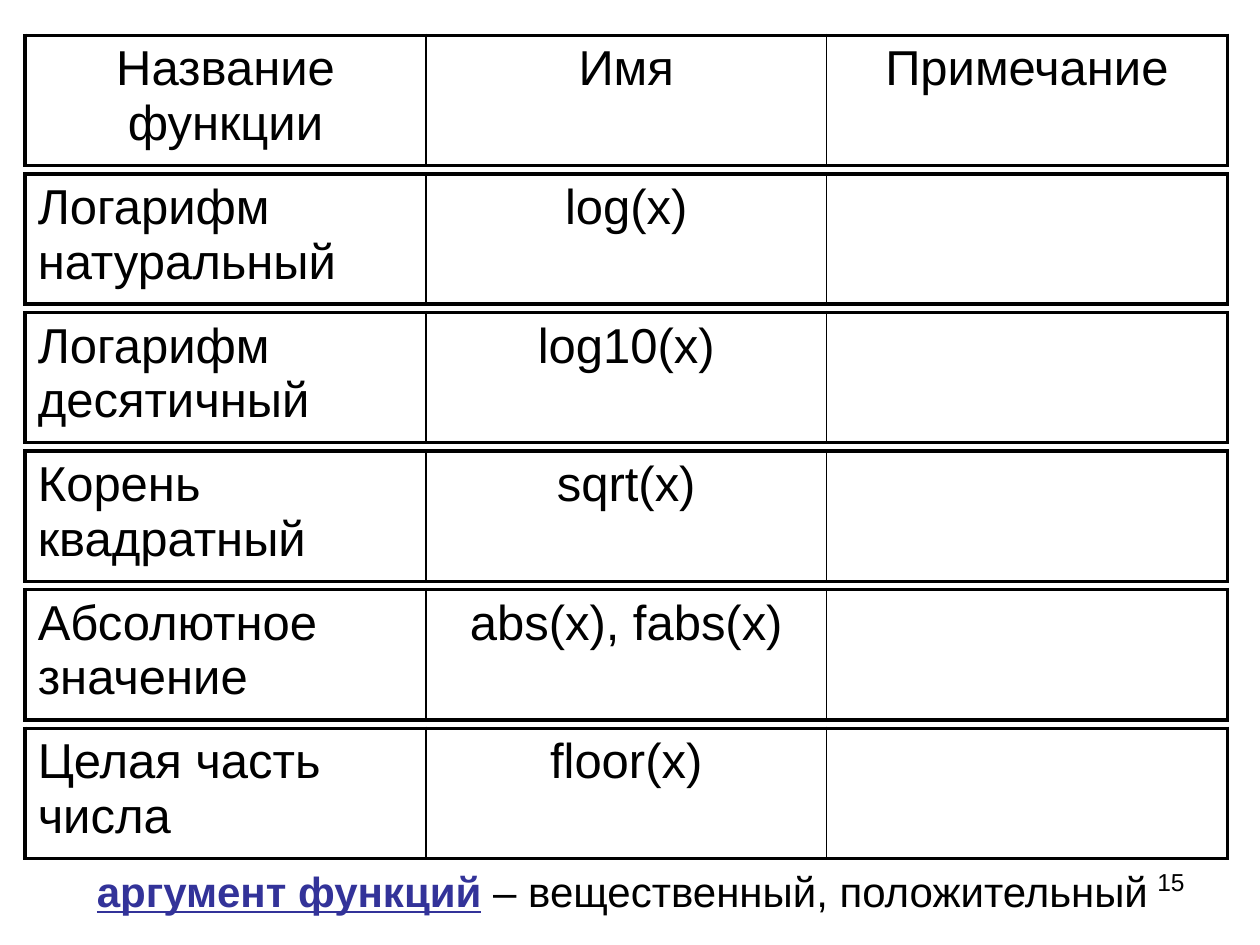
from lxml.etree import SubElement
from pptx import Presentation
from pptx.dml.color import RGBColor
from pptx.enum.text import PP_ALIGN as Align
from pptx.oxml.ns import qn
from pptx.util import Inches, Pt

BLACK, INDIGO = "000000", "333399"
THICK, THIN = 2.25, 1
LEFT, TOP, PITCH = 0.2, 0.28, 1.1
COLUMN, HEIGHT = 3.18, 1.03

ROWS = [
    ("Название функции", "Имя", "Примечание"),
    ("Логарифм натуральный", "log(x)", ""),
    ("Логарифм десятичный", "log10(x)", ""),
    ("Корень квадратный", "sqrt(x)", ""),
    ("Абсолютное значение", "abs(x), fabs(x)", ""),
    ("Целая часть числа", "floor(x)", ""),
]


def color(value):
    return RGBColor.from_string(value)


def add_run(paragraph, text, tint=BLACK, **formats):
    run = paragraph.add_run()
    run.text = text
    run.font.color.rgb = color(tint)
    for name, value in {"name": "Arial", **formats}.items():
        setattr(run.font, name, value)


def add_text(slide, box, align, runs):
    frame = slide.shapes.add_textbox(*map(Inches, box)).text_frame
    frame.word_wrap = True
    paragraph = frame.paragraphs[0]
    paragraph.alignment = align
    for text, formats in runs:
        add_run(paragraph, text, **formats)


def set_borders(cell, widths):
    properties = cell._tc.get_or_add_tcPr()
    for side, width in widths.items():
        line = SubElement(properties, qn(f"a:ln{side}"), w=str(Pt(width)))
        fill = SubElement(line, qn("a:solidFill"))
        SubElement(fill, qn("a:srgbClr"), val=BLACK)


def add_row_table(slide, top, texts, is_header):
    count = len(texts)
    table = slide.shapes.add_table(
        1, count, *map(Inches, (LEFT, top, COLUMN * count, HEIGHT))).table
    table.first_row = table.horz_banding = False
    for index, text in enumerate(texts):
        table.columns[index].width = Inches(COLUMN)
        cell = table.cell(0, index)
        # Outer edges are thick, inner dividers thin
        set_borders(cell, {
            "L": THICK if index == 0 else THIN,
            "R": THICK if index == count - 1 else THIN,
            "T": THICK,
            "B": THICK,
        })
        cell.fill.background()
        if text:
            paragraph = cell.text_frame.paragraphs[0]
            centered = is_header or index > 0
            paragraph.alignment = Align.CENTER if centered else Align.LEFT
            add_run(paragraph, text, size=Pt(28))


def main():
    prs = Presentation()
    prs.slide_width, prs.slide_height = Inches(10), Inches(7.5)
    slide = prs.slides.add_slide(prs.slide_layouts[6])

    # Page number
    add_text(slide, (7.17, 6.83, 2.33, 0.52), Align.RIGHT,
             [("15", {"size": Pt(14)})])

    # Function list: one single-row table per function
    for number, texts in enumerate(ROWS):
        add_row_table(slide, TOP + number * PITCH, texts, number == 0)

    # Note on the argument
    add_text(slide, (0.67, 6.82, 9.37, 0.5), Align.LEFT, [
        ("аргумент функций", {"tint": INDIGO, "size": Pt(24),
                              "bold": True, "underline": True}),
        (" – вещественный, положительный", {"size": Pt(24)}),
    ])

    prs.save("out.pptx")


if __name__ == "__main__":
    main()
